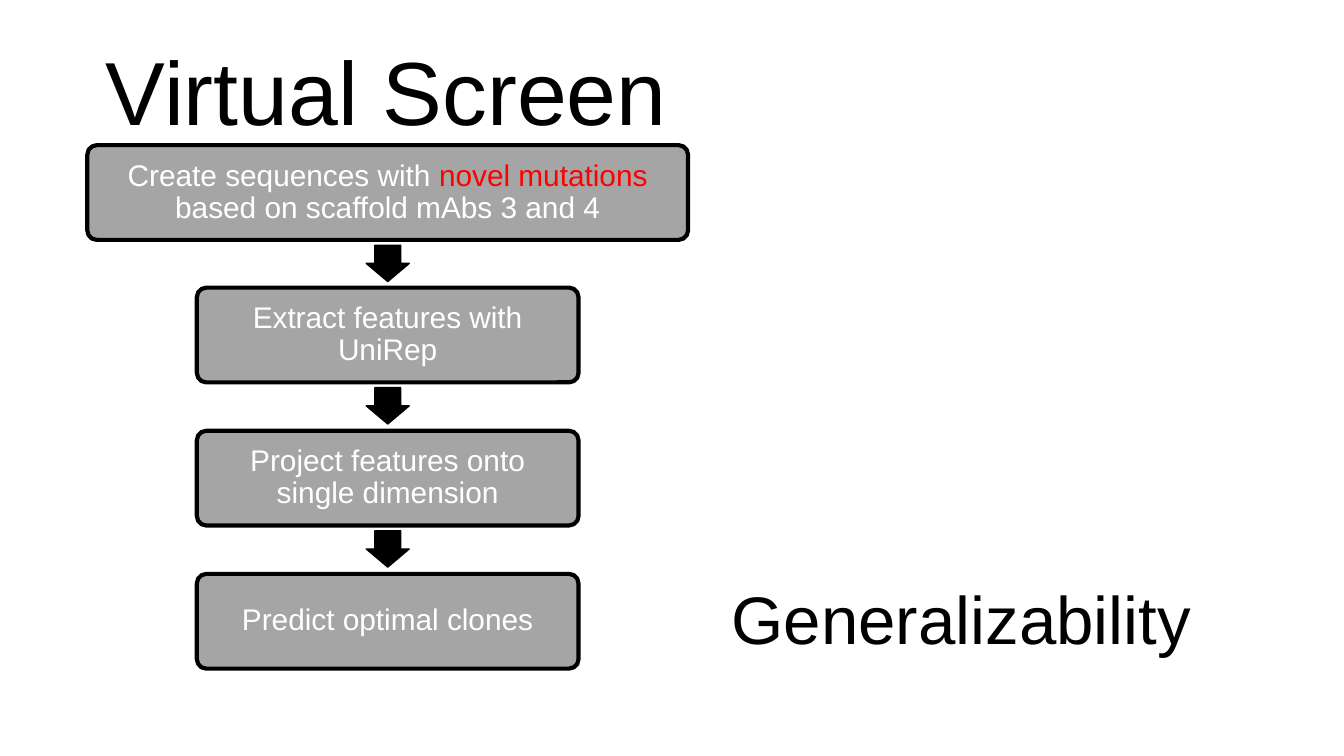
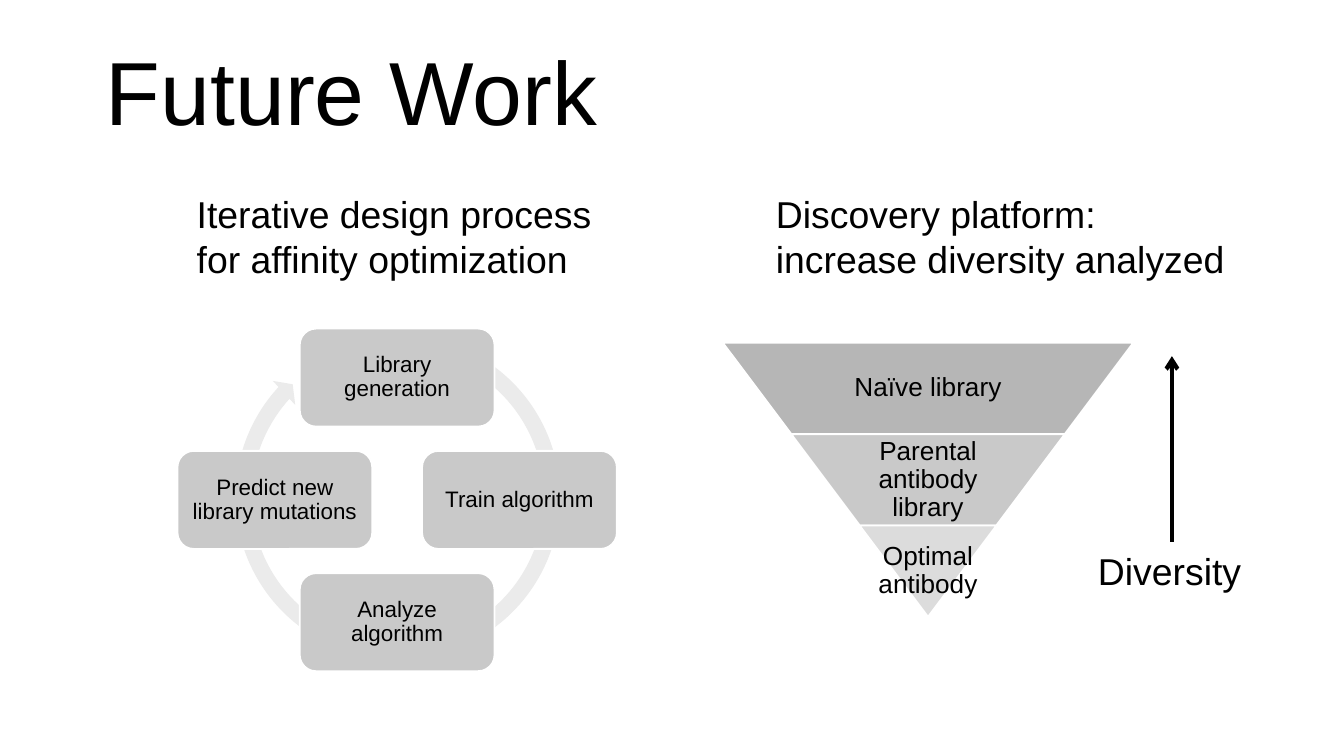
from lxml.etree import SubElement
from pptx import Presentation
from pptx.dml.color import RGBColor
from pptx.enum.shapes import MSO_CONNECTOR, MSO_SHAPE
from pptx.enum.text import MSO_ANCHOR, PP_ALIGN
from pptx.oxml.ns import qn
from pptx.util import Pt

PX = 4572
SLIDE_W, SLIDE_H = 2000, 1125
FONT = "Arial"
BLACK, WHITE, RED = "000000", "FFFFFF", "FF0000"
STEP_GRAY, NODE_GRAY, RING_GRAY = "A5A5A5", "C9C9C9", "EBEBEB"
TITLE_BOX = (138, 62, 1724, 154)

STEPS = [
    (894, [("Create sequences with ", WHITE), ("novel mutations ", RED),
           ("based on scaffold mAbs 3 and 4", WHITE)]),
    (568, [("Extract features with UniRep", WHITE)]),
    (568, [("Project features onto single dimension", WHITE)]),
    (568, [("Predict optimal clones", WHITE)]),
]
STEP_CENTER, STEP_TOP, STEP_HEIGHT, STEP_SPAN = 577, 216, 141, 638
ARROW_W, ARROW_H, ARROW_DROP = 54, 64, 144

CYCLE = [
    ("Library generation", 0, -1),
    ("Train algorithm", 1, 0),
    ("Analyze algorithm", 0, 1),
    ("Predict new library mutations", -1, 0),
]
CYCLE_X, CYCLE_Y, CYCLE_RADIUS = 591, 744, 182
NODE_W, NODE_H = 290, 146
RING_BOX = (338, 486, 508, 508)
RING_ADJ = (0.047, 2.729, 133.505, 176.876, 0.048)

FUNNEL = [
    ("Naïve library", "B6B6B6", 398),
    ("Parental antibody library", "C9C9C9", 264),
    ("Optimal antibody", "DCDCDC", 204),
]
FUNNEL_CENTER, FUNNEL_TOP, FUNNEL_W, LEVEL_H = 1381, 510, 611, 136

CAPTIONS = [
    ("Iterative design process for affinity optimization", (273, 275, 636, 154)),
    ("Discovery platform: increase diversity analyzed", (1135, 275, 728, 154)),
    ("Diversity", (1614, 806, 256, 88)),
]
DIVERSITY_ARROW = (1744, 806, 1744, 530)


def px(*values):
    return [round(v * PX) for v in values]


def color(value):
    return RGBColor.from_string(value)


def write(sp, runs, size, spacing=0.9, inset=None, centered=False):
    tf = sp.text_frame
    tf.word_wrap = True
    tf.vertical_anchor = MSO_ANCHOR.MIDDLE if centered else MSO_ANCHOR.TOP
    if inset is not None:
        tf.margin_left = tf.margin_top = tf.margin_right = tf.margin_bottom = inset * PX
    p = tf.paragraphs[0]
    p.alignment = PP_ALIGN.CENTER if centered else PP_ALIGN.LEFT
    p.line_spacing = spacing
    for text, fill in runs:
        r = p.add_run()
        r.text = text
        r.font.name = FONT
        r.font.size = Pt(size)
        r.font.color.rgb = color(fill)


def add_text(s, box, text, size, **style):
    write(s.shapes.add_textbox(*px(*box)), [(text, BLACK)], size, **style)


def add_shape(s, kind, box, fill, line=None, width=1, adj=(), rotation=0):
    sp = s.shapes.add_shape(kind, *px(*box))
    sp.shadow.inherit = False
    sp.rotation = rotation
    sp.fill.solid()
    sp.fill.fore_color.rgb = color(fill)
    if line:
        sp.line.color.rgb = color(line)
        sp.line.width = Pt(width)
    else:
        sp.line.fill.background()
    for i, value in enumerate(adj):
        sp.adjustments[i] = value
    return sp


def add_arrow(s, ends):
    c = s.shapes.add_connector(MSO_CONNECTOR.STRAIGHT, *px(*ends))
    c.line.color.rgb = color(BLACK)
    c.line.width = Pt(2.25)
    props = c.element.spPr
    SubElement(props.find(qn("a:ln")), qn("a:tailEnd"), type="arrow")
    SubElement(props, qn("a:effectLst"))


def add_slide(prs, title):
    s = prs.slides.add_slide(prs.slide_layouts[6])
    add_text(s, TITLE_BOX, title, 48)
    return s


def add_steps(s):
    for i, (w, runs) in enumerate(STEPS):
        top = STEP_TOP + i * STEP_SPAN // (len(STEPS) - 1)
        box = (STEP_CENTER - w / 2, top, w, STEP_HEIGHT)
        sp = add_shape(s, MSO_SHAPE.ROUNDED_RECTANGLE, box, STEP_GRAY, BLACK, 2.25, [0.1])
        write(sp, runs, 16, inset=14, centered=True)
        if i < len(STEPS) - 1:
            box = (STEP_CENTER - ARROW_W / 2, top + ARROW_DROP, ARROW_W, ARROW_H)
            add_shape(s, MSO_SHAPE.RIGHT_ARROW, box, BLACK, BLACK, 0.75, [0.6, 0.5], 90)


def add_cycle(s):
    add_shape(s, MSO_SHAPE.CIRCULAR_ARROW, RING_BOX, RING_GRAY, adj=RING_ADJ)
    for text, dx, dy in CYCLE:
        box = (CYCLE_X + dx * CYCLE_RADIUS - NODE_W / 2,
               CYCLE_Y + dy * CYCLE_RADIUS - NODE_H / 2, NODE_W, NODE_H)
        sp = add_shape(s, MSO_SHAPE.ROUNDED_RECTANGLE, box, NODE_GRAY, WHITE)
        write(sp, [(text, BLACK)], 12, inset=10, centered=True)


def add_funnel(s):
    for i, (text, fill, text_w) in enumerate(FUNNEL):
        top = FUNNEL_TOP + i * LEVEL_H
        w = FUNNEL_W * (len(FUNNEL) - i) / len(FUNNEL)
        box = (FUNNEL_CENTER - w / 2, top, w, LEVEL_H)
        add_shape(s, MSO_SHAPE.TRAPEZOID, box, fill, WHITE, adj=[0.75], rotation=180)
        box = (FUNNEL_CENTER - text_w / 2, top, text_w, LEVEL_H)
        add_text(s, box, text, 14, inset=4, centered=True)


def main():
    prs = Presentation()
    prs.slide_width, prs.slide_height = px(SLIDE_W, SLIDE_H)

    s = add_slide(prs, "Virtual Screen")
    add_steps(s)
    add_text(s, (1069, 863, 752, 134), "Generalizability", 36)

    s = add_slide(prs, "Future Work")
    add_cycle(s)
    add_funnel(s)
    for text, box in CAPTIONS:
        add_text(s, box, text, 20, spacing=1.0)
    add_arrow(s, DIVERSITY_ARROW)

    prs.save("out.pptx")


if __name__ == "__main__":
    main()
